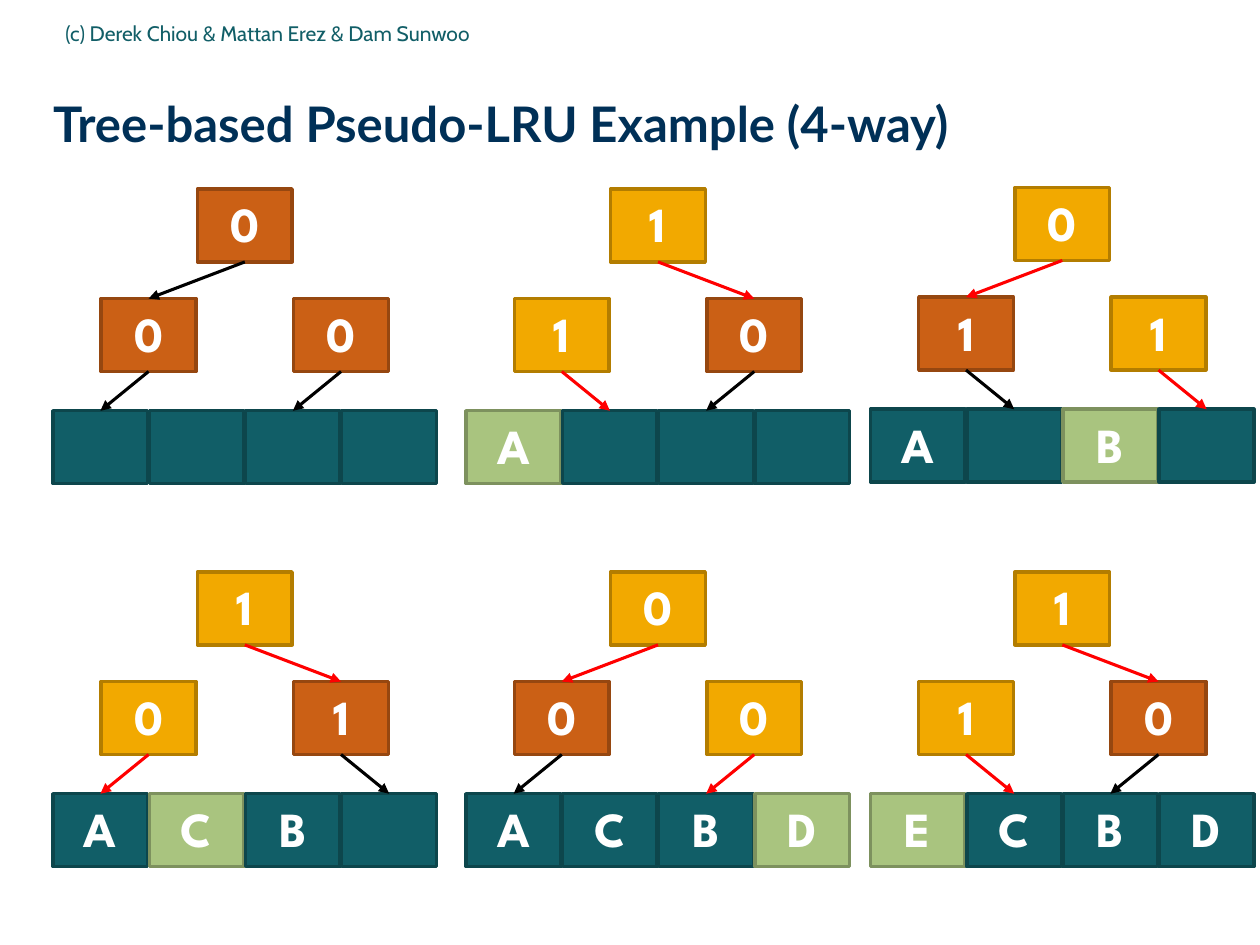
"""Build the slide of six tree-based pseudo-LRU states."""
from pptx import Presentation
from pptx.dml.color import RGBColor
from pptx.enum.shapes import MSO_CONNECTOR, MSO_SHAPE
from pptx.enum.text import MSO_ANCHOR, PP_ALIGN
from pptx.oxml.ns import qn
from pptx.util import Cm, Pt
from lxml import etree

RECT = MSO_SHAPE.RECTANGLE
STRAIGHT = MSO_CONNECTOR.STRAIGHT
MIDDLE = MSO_ANCHOR.MIDDLE
LEFT, CENTER = PP_ALIGN.LEFT, PP_ALIGN.CENTER

NAVY = RGBColor(0x00, 0x30, 0x57)
TEAL = RGBColor(0x11, 0x5E, 0x67)
WHITE = RGBColor(0xFF, 0xFF, 0xFF)
BLACK = RGBColor(0x00, 0x00, 0x00)
RED = RGBColor(0xFF, 0x00, 0x00)
OLD_BIT = (RGBColor(0xCB, 0x60, 0x15), RGBColor(0x96, 0x47, 0x10))
NEW_BIT = (RGBColor(0xF2, 0xA9, 0x00), RGBColor(0xB3, 0x7D, 0x00))
OLD_WAY = (TEAL, RGBColor(0x0D, 0x46, 0x4C))
NEW_WAY = (RGBColor(0xA9, 0xC4, 0x7F), RGBColor(0x7D, 0x91, 0x5E))

WIDE, HIGH, PITCH = 1.91, 1.47, 1.94
BIT_ROW, WAY_ROW = 2.21, 4.47
TOP, LOW = 3.81, 11.53
COLS = (1.07, 9.4, 17.55)
TREES = [
    (COLS[0], TOP, "000", ["", "", "", ""], None),
    (COLS[1], TOP, "110", ["A", "", "", ""], 0),
    (COLS[2], TOP - 0.03, "011", ["A", "", "B", ""], 2),
    (COLS[0], LOW, "101", ["A", "C", "B", ""], 1),
    (COLS[1], LOW, "000", ["A", "C", "B", "D"], 3),
    (COLS[2], LOW, "110", ["E", "C", "B", "D"], 0),
]


class Deck:
    """Hold the style and the current slide."""

    def __init__(self):
        self.prs = Presentation()
        self.prs.slide_width, self.prs.slide_height = Cm(25.4), Cm(19.05)
        self.slide = self.prs.slides.add_slide(self.prs.slide_layouts[5])

    def label(self, frame, text, font, size, color, bold=False, align=LEFT):
        frame.word_wrap = True
        frame.vertical_anchor = MIDDLE
        para = frame.paragraphs[0]
        para.alignment = align
        run = para.add_run()
        run.text = text
        run.font.name, run.font.size = font, Pt(size)
        run.font.bold = bold
        run.font.color.rgb = color
        return para

    def trim(self, frame):
        frame.margin_left = frame.margin_right = 0
        frame.margin_top = frame.margin_bottom = 0

    def title(self, text):
        shape = self.slide.shapes.title
        shape.left, shape.top = Cm(1.07), Cm(1.27)
        shape.width, shape.height = Cm(23.9), Cm(2.49)
        self.trim(shape.text_frame)
        para = self.label(shape.text_frame, text, "Lato", 28, NAVY, True)
        para.line_spacing = 0.99

    def credit(self, text):
        box = self.slide.shapes.add_textbox(
            Cm(1.07), Cm(0.08), Cm(14.4), Cm(1.17))
        self.label(box.text_frame, text, "Cabin", 12, TEAL)

    def cell(self, group, x, y, text, paint):
        shape = group.shapes.add_shape(RECT, Cm(x), Cm(y), Cm(WIDE), Cm(HIGH))
        shape.shadow.inherit = False
        shape.fill.solid()
        shape.fill.fore_color.rgb, shape.line.color.rgb = paint
        shape.line.width = Pt(2)
        if text:
            self.trim(shape.text_frame)
            para = self.label(shape.text_frame, text, "League Spartan", 28,
                              WHITE, True, CENTER)
            para.line_spacing = 0.99

    def arrow(self, group, start, end, color):
        line = group.shapes.add_connector(
            STRAIGHT, *[Cm(v) for v in (*start, *end)])
        line.line.color.rgb = color
        line.line.width = Pt(1.75)
        props = line._element.spPr
        etree.SubElement(props.find(qn("a:ln")), qn("a:tailEnd"),
                         type="triangle")
        etree.SubElement(props, qn("a:effectLst"))

    def tree(self, x, y, bits, ways, hot):
        group = self.slide.shapes.add_group_shape()
        fresh = [False] * 3 if hot is None else [True, hot < 2, hot >= 2]
        spots = [(1.5, 0), (0.5, BIT_ROW), (2.5, BIT_ROW)]
        for bit, new, (col, down) in zip(bits, fresh, spots):
            self.cell(group, x + col * PITCH, y + down, bit,
                      NEW_BIT if new else OLD_BIT)
        for col, way in enumerate(ways):
            self.cell(group, x + col * PITCH, y + WAY_ROW, way,
                      NEW_WAY if col == hot else OLD_WAY)
        mid = x + WIDE / 2
        for bit, new, (col, down) in zip(bits, fresh, spots):
            reach, goal = (0.5, WAY_ROW) if down else (1, BIT_ROW)
            aim = col + (reach if bit == "1" else -reach)
            self.arrow(group, (mid + col * PITCH, y + down + HIGH),
                       (mid + aim * PITCH, y + goal), RED if new else BLACK)


def main():
    deck = Deck()
    deck.title("Tree-based Pseudo-LRU Example (4-way)")
    deck.credit("(c) Derek Chiou & Mattan Erez & Dam Sunwoo")
    for state in TREES:
        deck.tree(*state)
    deck.prs.save("out.pptx")


if __name__ == "__main__":
    main()
